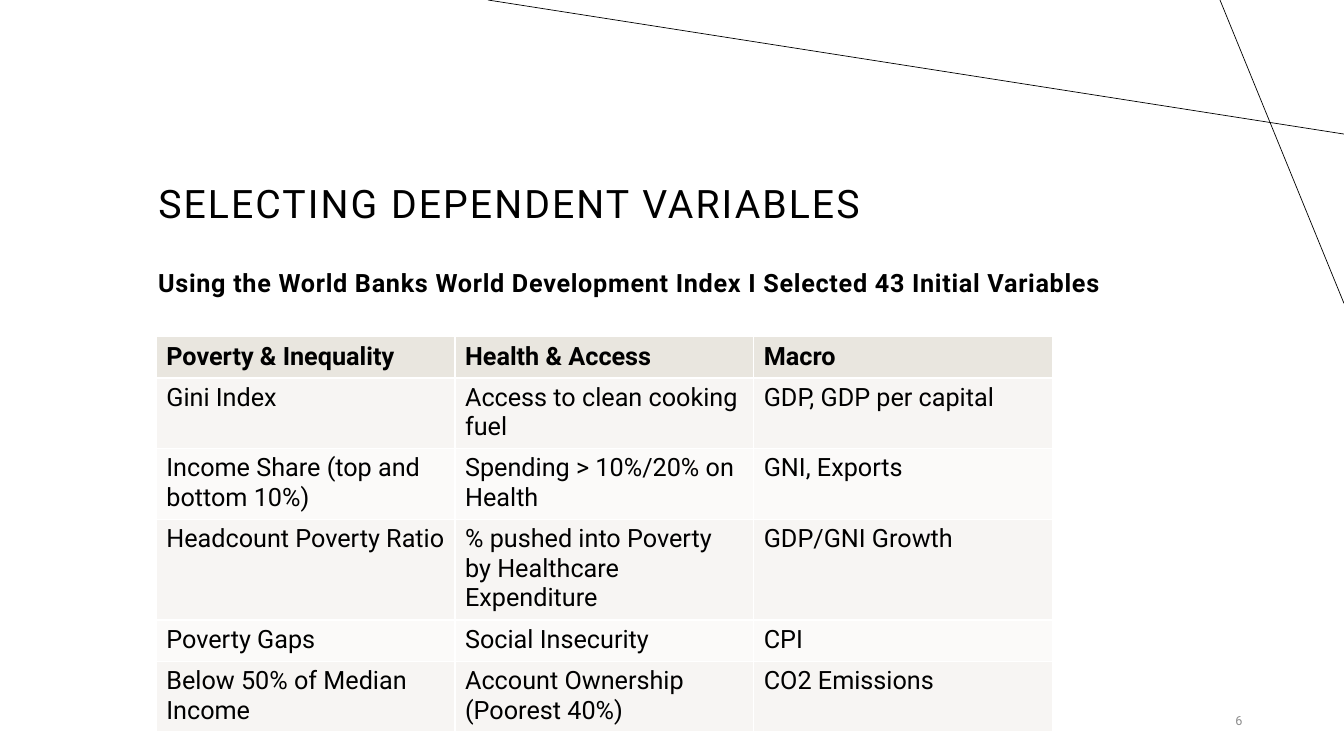
from pptx import Presentation
from pptx.dml.color import RGBColor
from pptx.enum.shapes import MSO_CONNECTOR
from pptx.enum.text import MSO_ANCHOR as Anchor, MSO_AUTO_SIZE as AutoSize, PP_ALIGN as Align
from pptx.oxml.ns import qn
from pptx.util import Inches, Pt
from lxml import etree

FONT = "Roboto"
BLACK, GREY = "000000", "8C8C8C"
HEADER_FILL, BAND_FILLS = "E9E6DF", ("F7F5F3", "FBFAF9")
VARIABLES = [
    ("Poverty & Inequality", "Health & Access", "Macro"),
    ("Gini Index", "Access to clean cooking fuel", "GDP, GDP per capital"),
    ("Income Share (top and bottom 10%)", "Spending > 10%/20% on Health", "GNI, Exports"),
    ("Headcount Poverty Ratio", "% pushed into Poverty by Healthcare Expenditure", "GDP/GNI Growth"),
    ("Poverty Gaps", "Social Insecurity", "CPI"),
    ("Below 50% of Median Income", "Account Ownership (Poorest 40%)", "CO2 Emissions"),
]


def color(value):
    return RGBColor.from_string(value)


def write(frame, text, size=18, bold=False, fill=BLACK, align=Align.LEFT,
          anchor=Anchor.TOP, spacing=0, line_spacing=None):
    """Fill a text frame with one formatted paragraph; spacing is between letters, in points."""
    frame.word_wrap = True
    frame.vertical_anchor = anchor
    para = frame.paragraphs[0]
    para.alignment = align
    para.line_spacing = line_spacing
    span = para.add_run()
    span.text = text
    span.font.name = FONT
    span.font.size = Pt(size)
    span.font.bold = bold
    span.font.color.rgb = color(fill)
    if spacing:
        span.font._element.set("spc", str(int(spacing * 100)))


def add_line(page, start, end):
    line = page.shapes.add_connector(MSO_CONNECTOR.STRAIGHT, *map(Inches, start + end))
    line.line.color.rgb = color(BLACK)
    line.line.width = Pt(0.5)
    etree.SubElement(line._element.spPr, qn("a:effectLst"))


def add_title(page, text, box):
    title = page.shapes.title
    title.left, title.top, title.width, title.height = map(Inches, box)
    title.text_frame.auto_size = AutoSize.NONE
    write(title.text_frame, text, size=28, anchor=Anchor.BOTTOM, spacing=1.5, line_spacing=0.9)


def add_text(page, text, box, top_inset=0.05, **style):
    frame = page.shapes.add_textbox(*map(Inches, box)).text_frame
    frame.margin_top = Inches(top_inset)
    write(frame, text, **style)


def add_variable_table(page, rows, box):
    table = page.shapes.add_table(len(rows), len(rows[0]), *map(Inches, box)).table
    for row_index, row in enumerate(rows):
        is_header = row_index == 0
        fill = HEADER_FILL if is_header else BAND_FILLS[(row_index - 1) % 2]
        for column_index, text in enumerate(row):
            cell = table.cell(row_index, column_index)
            cell.fill.solid()
            cell.fill.fore_color.rgb = color(fill)
            write(cell.text_frame, text, bold=is_header)


def build_variables_slide(deck):
    page = deck.slides.add_slide(deck.slide_layouts[5])
    add_line(page, (13.33, 1.33), (4.84, 0))
    add_line(page, (12.1, 0), (13.33, 3.01))
    add_title(page, "SELECTING DEPENDENT VARIABLES", (1.47, 0.35, 10.89, 1.95))
    add_text(page, "Using the World Banks World Development Index I Selected 43 Initial Variables",
             (1.47, 2.65, 9.88, 0.5), top_inset=0, bold=True, spacing=0.5)
    add_text(page, "6", (11.34, 6.95, 1.08, 0.4), size=9, fill=GREY,
             align=Align.RIGHT, anchor=Anchor.MIDDLE)
    add_variable_table(page, VARIABLES, (1.55, 3.34, 8.89, 0.41 * len(VARIABLES)))


def main():
    deck = Presentation()
    deck.slide_width, deck.slide_height = Inches(13.33), Inches(7.5)
    build_variables_slide(deck)
    deck.save("out.pptx")


if __name__ == "__main__":
    main()
